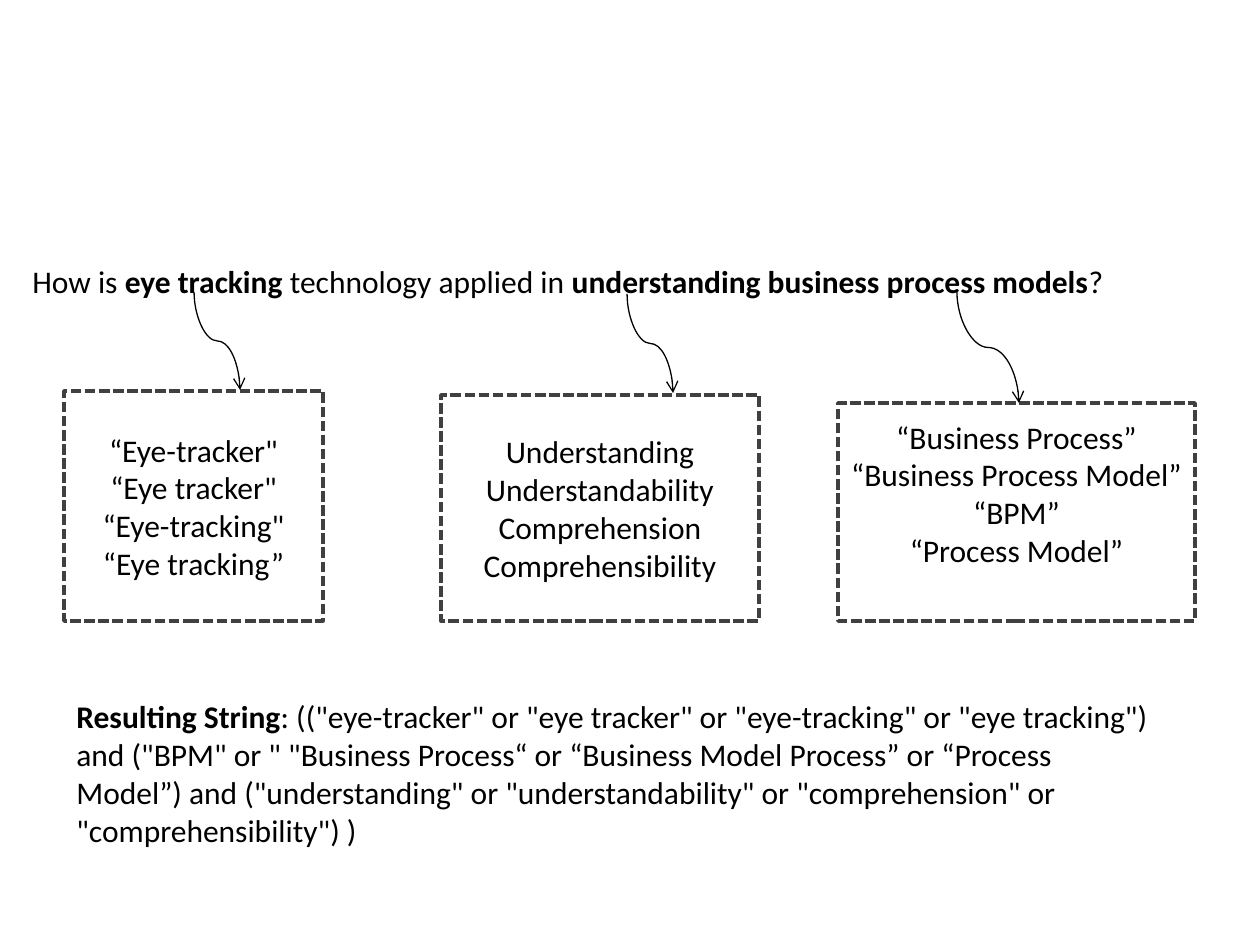
from lxml.etree import SubElement
from pptx import Presentation
from pptx.dml.color import RGBColor
from pptx.enum.dml import MSO_LINE
from pptx.enum.shapes import MSO_CONNECTOR as Link, MSO_SHAPE as Shape
from pptx.enum.text import MSO_ANCHOR as Anchor, PP_ALIGN as Align
from pptx.oxml.ns import qn
from pptx.util import Pt

SCALE = 914400 / 126


def px(length):
    """Turn pixels into EMU."""
    return round(length * SCALE)


def colour(code):
    """Turn a hex string into a colour."""
    return RGBColor.from_string(code)


def write(frame, lines, font="Calibri", size=18, ink="000000",
          align=Align.LEFT, anchor=Anchor.TOP):
    """Fill a frame with lines, each a list of (text, bold) spans."""
    frame.word_wrap = True
    frame.vertical_anchor = anchor
    for index, line in enumerate(lines):
        para = frame.add_paragraph() if index else frame.paragraphs[0]
        para.alignment = align
        for text, bold in line:
            span = para.add_run()
            span.text = text
            span.font.name = font
            span.font.size = Pt(size)
            span.font.bold = bold
            span.font.color.rgb = colour(ink)


class Board:
    """Holds the style and the current slide."""

    paper, border, ink = "FFFFFF", "404040", "000000"

    def __init__(self, page):
        """Keep the slide's shapes."""
        self.shapes = page.shapes

    def text(self, left, top, width, height, spans):
        """Add one paragraph of plain text."""
        box = self.shapes.add_textbox(*map(px, (left, top, width, height)))
        write(box.text_frame, [spans], ink=self.ink)

    def term_box(self, left, top, width, height, terms, bottom_inset=6):
        """Add a dashed box with one search term per line."""
        box = self.shapes.add_shape(
            Shape.RECTANGLE, *map(px, (left, top, width, height)))
        box.shadow.inherit = False
        box.fill.solid()
        box.fill.fore_color.rgb = colour(self.paper)
        box.line.color.rgb = colour(self.border)
        box.line.width = Pt(2)
        box.line.dash_style = MSO_LINE.SQUARE_DOT
        box.text_frame.margin_bottom = px(bottom_inset)
        write(box.text_frame, [[(term, False)] for term in terms],
              ink=self.ink, align=Align.CENTER, anchor=Anchor.MIDDLE)

    def curved_arrow(self, x1, y1, x2, y2):
        """Add an S-curve that leaves and arrives vertically."""
        mid_x, mid_y = (x1 + x2) / 2, (y1 + y2) / 2
        across, down = (x2 - x1) / 2, (y2 - y1) / 2
        # Laid out sideways, then turned by 270 degrees about its centre
        arrow = self.shapes.add_connector(Link.CURVE, *map(px, (
            mid_x + down, mid_y - across, mid_x - down, mid_y + across)))
        properties = arrow._element.spPr
        properties.find(qn("a:xfrm")).set("rot", str(270 * 60000))
        arrow.line.color.rgb = colour(self.ink)
        arrow.line.width = Pt(0.75)
        SubElement(properties.find(qn("a:ln")), qn("a:tailEnd"), type="arrow")
        SubElement(properties, qn("a:effectLst"))


deck = Presentation()
deck.slide_width, deck.slide_height = px(1260), px(945)
board = Board(deck.slides.add_slide(deck.slide_layouts[6]))

board.text(20, 256, 1200, 52, [
    ("How is ", False), ("eye tracking ", True),
    ("technology applied in ", False),
    ("understanding business process models", True), ("?", False)])

board.term_box(441, 395, 318, 226, [
    "Understanding", "Understandability", "Comprehension",
    "Comprehensibility"])
board.term_box(838, 403, 357, 218, [
    "“Business Process”", "“Business Process Model”", "“BPM”",
    "“Process Model”"], bottom_inset=44)
board.term_box(64, 391, 259, 230, [
    "“Eye-tracker\"", "“Eye tracker\"", "“Eye-tracking\"", "“Eye tracking”"])

board.text(64, 691, 1101, 204, [
    ("Resulting String", True),
    (': (("eye-tracker" or "eye tracker" or "eye-tracking" or "eye tracking")'
     ' and ("BPM" or " "Business Process“ or “Business Model Process” or '
     '“Process Model”) and ("understanding" or "understandability" or '
     '"comprehension" or "comprehensibility") )', False)])

for ends in ((957, 292, 1019, 403), (627, 294, 673, 393), (194, 292, 240, 390)):
    board.curved_arrow(*ends)

deck.save("out.pptx")
